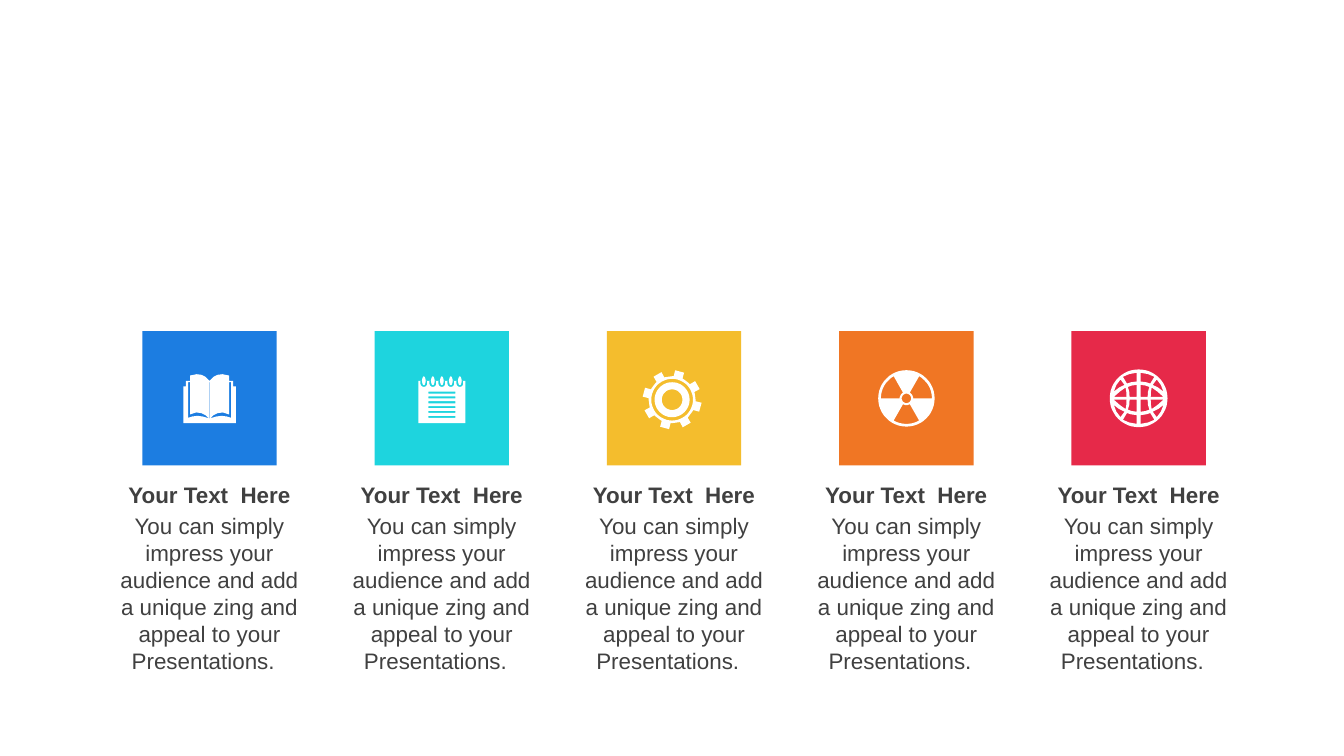
import math

import pptx
import pptx.dml.color
import pptx.enum.shapes
import pptx.enum.text
import pptx.util

Cm = pptx.util.Cm
TILE = 2.54
FIRST_LEFT, TOP, STEP = 2.69, 6.26, 4.39
UNITS = 1000  # outline units along one tile side
HEADING = "Your Text  Here"
BODY = ("You can simply impress your audience and add a unique zing "
        "and appeal to your Presentations.  ")


def colour(value):
    return pptx.dml.color.RGBColor.from_string(value)


def paint(shape, value):
    shape.fill.solid()
    shape.fill.fore_color.rgb = colour(value)
    shape.line.fill.background()
    shape.shadow.inherit = False


# Icon outlines: lists of (x, y) in tile sides, measured from the tile's centre.
# Outlines inside others cut holes.

def arc(radius, start=0, end=360, x=0, y=0, height=None):
    """Points along an arc; angles run clockwise from the right."""
    steps = max(6, int(abs(end - start) / 7.5))
    angles = [math.radians(start + (end - start) * i / steps) for i in range(steps + 1)]
    return [(x + radius * math.cos(a), y + (height or radius) * math.sin(a))
            for a in angles]


def bar(left, top, right, bottom):
    return [(left, top), (right, top), (right, bottom), (left, bottom)]


def mirrored(points):
    return [(-x, y) for x, y in points]


def book():
    half = [(0, -.13), (.03, -.16), (.06, -.175), (.095, -.18), (.145, -.17),
            (.145, -.13), (.175, -.13), (.175, -.09), (.195, -.09), (.195, .185)]
    margin = [(0, .15), (0, -.12), (.003, -.12), (.003, .15), (.03, .125),
              (.06, .11), (.1, .105), (.145, .12), (.145, -.12), (.16, -.12),
              (.16, .145), (.13, .135), (.09, .13), (.05, .135)]
    return [half + mirrored(half)[::-1], margin, mirrored(margin)]


def notepad():
    outlines = [bar(-.175, -.13, .175, .185)]
    for row in range(6):
        top = -.05 + .036 * row
        outlines.append(bar(-.1, top, .1, top + .015))
    for ring in range(5):
        x = -.134 + .067 * ring
        notch = [(x + .025, -.13)] + arc(.025, 0, 180, x, -.11) + [(x - .025, -.13)]
        outlines += [notch, arc(.013, x=x, y=-.13, height=.033)]
    return outlines


def gear():
    x, y = -.015, .01
    rim = []
    for tooth in range(8):
        middle = -75 + 45 * tooth
        for radius, turn in ((.175, -14), (.175, -11), (.22, -9),
                             (.22, 9), (.175, 11), (.175, 14)):
            angle = math.radians(middle + turn)
            rim.append((x + radius * math.cos(angle), y + radius * math.sin(angle)))
    return [rim] + [arc(radius, x=x, y=y) for radius in (.155, .13, .077)]


def radiation():
    blades = [arc(.19, start, start + 60) + arc(.05, start + 60, start)
              for start in (60, 180, 300)]
    return [arc(.21), arc(.035)] + blades


def globe():
    cells = [
        [(.01, .015), (.01, .067), (.05, .07), (.085, .08), (.095, .05), (.1, .015)],
        [(.01, .09), (.01, .185), (.05, .14), (.08, .097), (.05, .092)],
        [(.125, .015), (.12, .055), (.11, .087), (.16, .117), (.18, .07), (.19, .015)],
        [(.1, .105), (.08, .145), (.05, .185), (.1, .165), (.14, .135)],
    ]
    return [arc(.215)] + [[(across * y, down * x) for x, y in cell]
                          for cell in cells for across in (1, -1) for down in (1, -1)]


COLUMNS = [("1C7DE1", book), ("1ED4DE", notepad), ("F4BD2D", gear),
           ("F07624", radiation), ("E62949", globe)]


def add_icon(page, left, top, side, outlines):
    builder = None
    for outline in outlines:
        points = [(round((x + .5) * UNITS), round((y + .5) * UNITS)) for x, y in outline]
        if builder is None:
            builder = page.shapes.build_freeform(*points[0], scale=Cm(side) / UNITS)
        else:
            builder.move_to(*points[0])
        builder.add_line_segments(points[1:], close=True)
    paint(builder.convert_to_shape(Cm(left), Cm(top)), "FFFFFF")


def add_text(group, left, top, width, height, text, bold):
    box = group.shapes.add_textbox(Cm(left), Cm(top), Cm(width), Cm(height))
    frame = box.text_frame
    frame.word_wrap = True
    frame.auto_size = pptx.enum.text.MSO_AUTO_SIZE.SHAPE_TO_FIT_TEXT
    para = frame.paragraphs[0]
    para.alignment = pptx.enum.text.PP_ALIGN.CENTER
    span = para.add_run()
    span.text = text
    formats = {"name": "Arial", "size": pptx.util.Pt(12), "bold": bold}
    for name, value in formats.items():
        setattr(span.font, name, value)
    span.font.color.rgb = colour("404040")


def add_column(page, left, top, side, fill, icon):
    tile = page.shapes.add_shape(pptx.enum.shapes.MSO_SHAPE.RECTANGLE,
                                 Cm(left), Cm(top), Cm(side), Cm(side))
    paint(tile, fill)
    add_icon(page, left, top, side, icon())
    width = 4.18
    text_left = left - (width - side) / 2
    group = page.shapes.add_group_shape()
    add_text(group, text_left, top + 3.3, width, 3.33, BODY, False)
    add_text(group, text_left, top + 2.71, width, .76, HEADING, True)


def main():
    deck = pptx.Presentation()
    deck.slide_width, deck.slide_height = Cm(25.4), Cm(14.29)
    page = deck.slides.add_slide(deck.slide_layouts[6])
    for index, (fill, icon) in enumerate(COLUMNS):
        add_column(page, FIRST_LEFT + STEP * index, TOP, TILE, fill, icon)
    deck.save("out.pptx")


if __name__ == "__main__":
    main()
